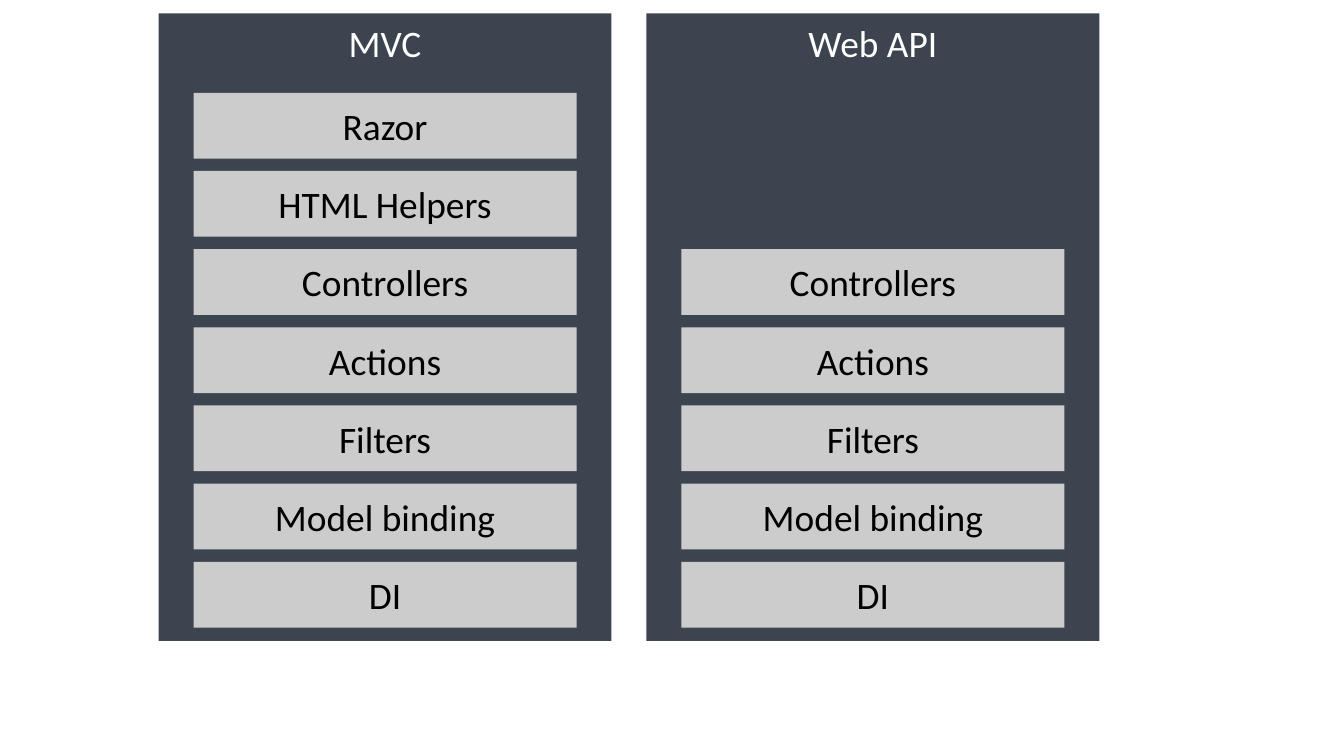
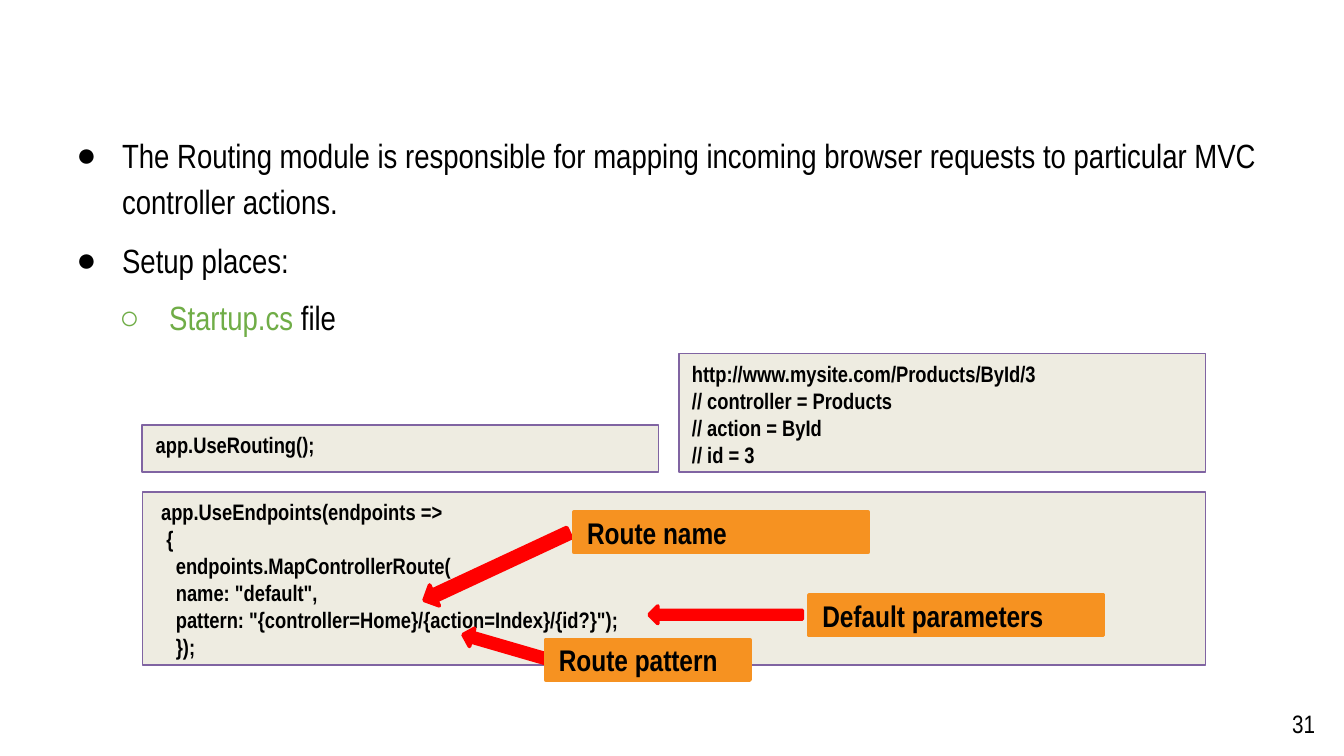
from dataclasses import dataclass
from typing import Any

from lxml.etree import SubElement
from pptx import Presentation
from pptx.dml.color import RGBColor
from pptx.enum.shapes import MSO_SHAPE as Kind
from pptx.enum.text import MSO_ANCHOR as Anchor, PP_ALIGN as Align
from pptx.oxml.ns import qn
from pptx.util import Inches, Pt

BLACK = RGBColor(0x00, 0x00, 0x00)
WHITE = RGBColor(0xFF, 0xFF, 0xFF)
SLATE = RGBColor(0x3C, 0x45, 0x4F)
SILVER = RGBColor(0xCC, 0xCC, 0xCC)
GREEN = RGBColor(0x70, 0xAD, 0x47)
CREAM = RGBColor(0xEE, 0xEC, 0xE1)
PURPLE = RGBColor(0x80, 0x64, 0xA2)
RED = RGBColor(0xFF, 0x00, 0x00)
ORANGE = RGBColor(0xF6, 0x92, 0x21)

NARROW = "Arial Narrow"
WIDE = Inches(10)
HIGH = WIDE * 9 // 16
PANEL_TOP, PANEL_WIDE, PANEL_HIGH = 0.1, 3.37, 4.67
ROW_TOP, ROW_LAST, ROW_INSET = 0.69, 4.18, 0.26
ROW_STEP = (ROW_LAST - ROW_TOP) / 6
ROW_WIDE, ROW_HIGH = 2.85, 0.49


@dataclass(frozen=True)
class Style:
    fill: RGBColor
    line: RGBColor | None
    width: float
    frame: dict[str, Any]
    para: dict[str, Any]
    font: dict[str, Any]
    color: RGBColor = BLACK


@dataclass(frozen=True)
class Box:
    left: float
    top: float
    width: float
    height: float

    def place(self) -> list[int]:
        return [Inches(n) for n in (self.left, self.top, self.width, self.height)]


@dataclass(frozen=True)
class Panel:
    title: str
    left: float
    first: int
    rows: tuple[str, ...]


@dataclass(frozen=True)
class Note:
    box: Box
    text: str
    indents: tuple[float, ...] = ()


@dataclass(frozen=True)
class Callout:
    label: Note
    arrow: Box
    turn: float


@dataclass(frozen=True)
class Bullet:
    runs: tuple[tuple[str, RGBColor], ...]
    mark: str
    color: RGBColor
    level: int
    left: float
    hang: float
    before: float


def frame(side: float, edge: float, anchor: Anchor) -> dict[str, Any]:
    return {"word_wrap": True, "vertical_anchor": anchor,
            "margin_left": Inches(side), "margin_right": Inches(side),
            "margin_top": Inches(edge), "margin_bottom": Inches(edge)}


def font(name: str, size: float, bold: bool = False) -> dict[str, Any]:
    return {"name": name, "size": Pt(size), "bold": bold}


MID = {"alignment": Align.CENTER}
START = {"alignment": Align.LEFT}
PANEL = Style(SLATE, None, 0, frame(0, 0.05, Anchor.TOP), MID,
              font("Calibri", 20), WHITE)
ROW = Style(SILVER, None, 0, frame(0, 0.05, Anchor.MIDDLE), MID,
            font("Calibri", 20))
CODE = Style(CREAM, PURPLE, 1, frame(0.1, 0.05, Anchor.TOP), START,
             font(NARROW, 12, True))
LABEL = Style(ORANGE, ORANGE, 2, frame(0.1, 0.05, Anchor.MIDDLE), START,
              font(NARROW, 16, True))
ARROW = Style(RED, RED, 2, {}, {}, {})

SHARED = ("Controllers", "Actions", "Filters", "Model binding", "DI")
PANELS = (
    Panel("MVC", 1.18, 0, ("Razor", "HTML Helpers") + SHARED),
    Panel("Web API", 4.81, 2, SHARED),
)
BULLETS = (
    Bullet((("The Routing module is responsible for mapping incoming browser "
             "requests to particular MVC controller actions.", BLACK),),
           "●", BLACK, 0, 0.34, -0.34, 0),
    Bullet((("Setup places:", BLACK),), "●", BLACK, 0, 0.34, -0.34, 6.4),
    Bullet((("Startup.cs", GREEN), (" file", BLACK)),
           "○", GREEN, 1, 0.69, -0.37, 6),
)
ROUTES = Note(Box(1.06, 3.66, 7.91, 1.29), """app.UseEndpoints(endpoints =>
{
endpoints.MapControllerRoute(
name: "default",
pattern: "{controller=Home}/{action=Index}/{id?}");
});""", (0.04, 0.08) + (0.15,) * 4)
CALLOUTS = (
    Callout(Note(Box(4.27, 3.81, 2.19, 0.3), "Route name"),
            Box(3.1, 4.13, 1.19, 0.17), 335),
    Callout(Note(Box(4.06, 4.76, 1.52, 0.3), "Route pattern"),
            Box(3.43, 4.76, 0.77, 0.14), 16.2),
    Callout(Note(Box(6.02, 4.43, 2.19, 0.3), "Default parameters"),
            Box(4.83, 4.51, 1.14, 0.13), 0),
)
SAMPLES = (
    Note(Box(5.05, 2.63, 3.92, 0.88), """http://www.mysite.com/Products/ById/3
// controller = Products
// action = ById
// id = 3"""),
    Note(Box(1.06, 3.16, 3.84, 0.35), "app.UseRouting();"),
)


def apply(item: Any, values: dict[str, Any]) -> None:
    for key, value in values.items():
        setattr(item, key, value)


def add_text(para: Any, text: str, form: dict[str, Any], color: RGBColor) -> None:
    for index, line in enumerate(text.split("\n")):
        if index:
            para.add_line_break()
        run = para.add_run()
        run.text = line
        apply(run.font, form)
        run.font.color.rgb = color


def next_para(body: Any, index: int) -> Any:
    return body.add_paragraph() if index else body.paragraphs[0]


def draw_shape(shapes: Any, kind: Kind, box: Box, style: Style) -> Any:
    shape = shapes.add_shape(kind, *box.place())
    shape.shadow.inherit = False
    shape.fill.solid()
    shape.fill.fore_color.rgb = style.fill
    if style.line is None:
        shape.line.fill.background()
    else:
        shape.line.color.rgb = style.line
        shape.line.width = Pt(style.width)
    return shape


def draw_note(shapes: Any, note: Note, style: Style) -> None:
    body = draw_shape(shapes, Kind.RECTANGLE, note.box, style).text_frame
    apply(body, style.frame)
    lines = note.text.split("\n") if note.indents else [note.text]
    for index, text in enumerate(lines):
        para = next_para(body, index)
        apply(para, style.para)
        if note.indents:
            props = para._p.get_or_add_pPr()
            props.set("marL", str(Inches(note.indents[index])))
        add_text(para, text, style.font, style.color)


def draw_panel(slide: Any, panel: Panel) -> None:
    shapes = slide.shapes.add_group_shape().shapes
    back = Box(panel.left, PANEL_TOP, PANEL_WIDE, PANEL_HIGH)
    draw_note(shapes, Note(back, panel.title), PANEL)
    for index, text in enumerate(panel.rows, panel.first):
        box = Box(panel.left + ROW_INSET, ROW_TOP + index * ROW_STEP,
                  ROW_WIDE, ROW_HIGH)
        draw_note(shapes, Note(box, text), ROW)


def draw_callout(shapes: Any, call: Callout) -> None:
    arrow = draw_shape(shapes, Kind.LEFT_ARROW, call.arrow, ARROW)
    arrow.rotation = call.turn
    draw_note(shapes, call.label, LABEL)


def add_body(shapes: Any, box: Box, anchor: Anchor) -> Any:
    body = shapes.add_textbox(*box.place()).text_frame
    apply(body, frame(0.1, 0.1, anchor))
    return body


def add_mark(para: Any, item: Bullet) -> None:
    props = para._p.get_or_add_pPr()
    props.set("marL", str(Inches(item.left)))
    props.set("indent", str(Inches(item.hang)))
    tint = SubElement(props, qn("a:buClr"))
    SubElement(tint, qn("a:srgbClr"), val=str(item.color))
    SubElement(props, qn("a:buFont"), typeface="Arial")
    SubElement(props, qn("a:buChar"), char=item.mark)


def draw_list(shapes: Any) -> None:
    body = add_body(shapes, Box(0.47, 0.86, 9.05, 4.52), Anchor.TOP)
    for index, item in enumerate(BULLETS):
        para = next_para(body, index)
        apply(para, {"level": item.level, "line_spacing": 1.15,
                     "space_before": Pt(item.before)})
        add_mark(para, item)
        for text, color in item.runs:
            add_text(para, text, font(NARROW, 18), color)


def draw_page(shapes: Any, number: int) -> None:
    body = add_body(shapes, Box(9.4, 5.14, 0.6, 0.49), Anchor.MIDDLE)
    para = body.paragraphs[0]
    apply(para, MID)
    add_text(para, str(number), font(NARROW, 13.5), BLACK)


def draw_stacks(slide: Any) -> None:
    for panel in PANELS:
        draw_panel(slide, panel)


def draw_routes(slide: Any) -> None:
    shapes = slide.shapes
    draw_page(shapes, 31)
    draw_list(shapes)
    draw_note(shapes, ROUTES, CODE)
    for call in CALLOUTS:
        draw_callout(shapes, call)
    for note in SAMPLES:
        draw_note(shapes, note, CODE)


def main() -> None:
    deck = Presentation()
    apply(deck, {"slide_width": WIDE, "slide_height": HIGH})
    blank = deck.slide_layouts[6]
    for draw in (draw_stacks, draw_routes):
        draw(deck.slides.add_slide(blank))
    deck.save("out.pptx")


if __name__ == "__main__":
    main()
